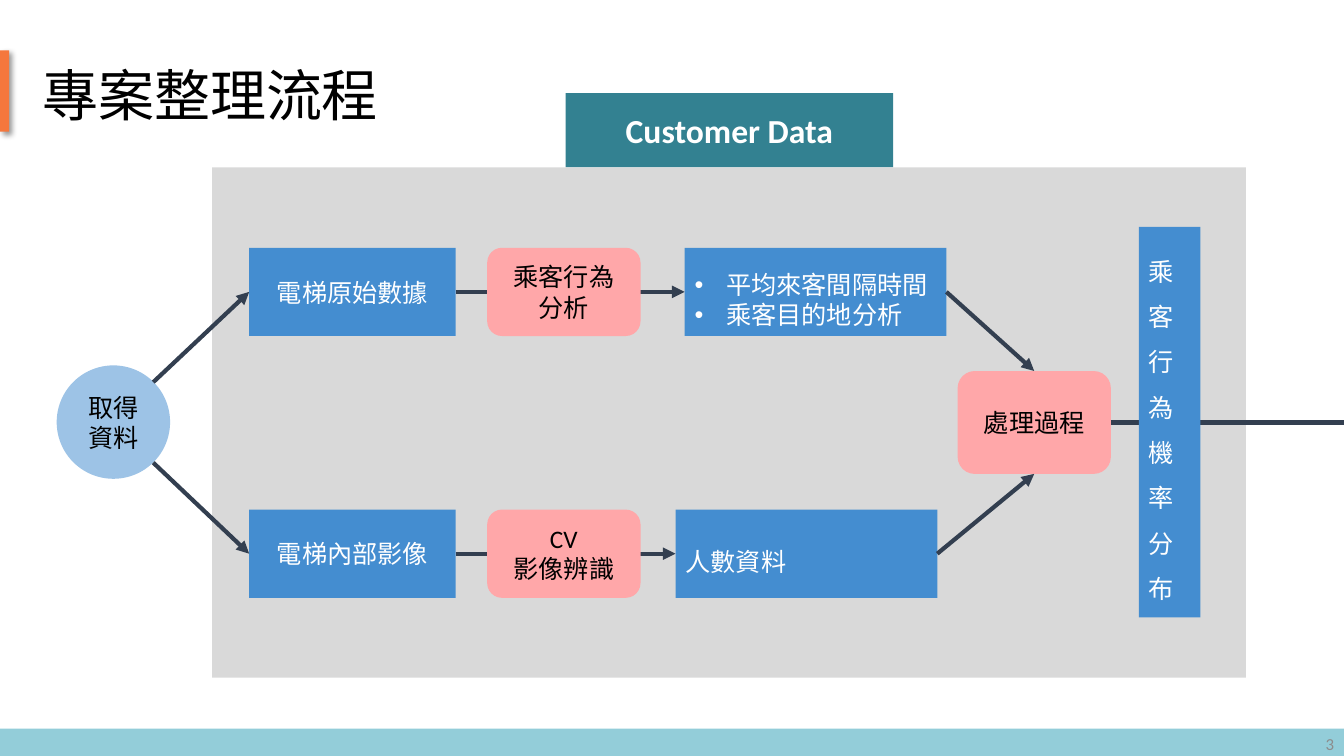
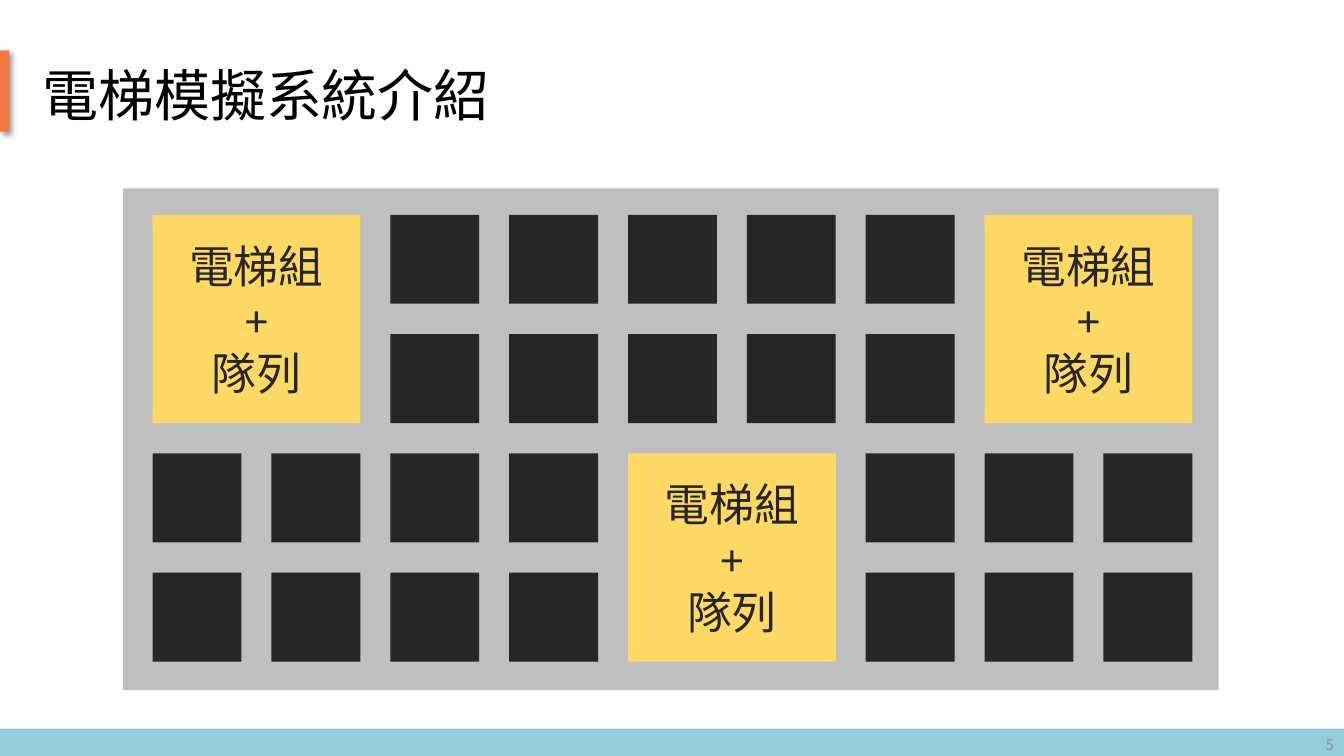
import pptx
import pptx.util
import pptx.dml.color
import pptx.enum.shapes
import pptx.enum.text
import pptx.oxml
import pptx.oxml.ns
import lxml.etree

Pt = pptx.util.Pt
qn = pptx.oxml.ns.qn
Kind = pptx.enum.shapes.MSO_SHAPE
Align = pptx.enum.text.PP_ALIGN
Anchor = pptx.enum.text.MSO_ANCHOR

HUES = {
    "band": "93CDD9", "accent": "F5773D", "number": "8C8C8C",
    "panel": "D9D9D9", "source": "9DC3E6", "data": "448DD0",
    "step": "FFA7A9", "wire": "333F50", "head": "338191",
    "floor": "BFBFBF", "room": "262626", "lift": "FFD966",
    "black": "000000", "white": "FFFFFF",
}
WIDE, HIGH = 960, 540
LATIN, ASIAN = "Calibri", "Noto Sans CJK JP"


def hue(name):
    return pptx.dml.color.RGBColor.from_string(HUES[name])


def child(node, tag, **traits):
    return lxml.etree.SubElement(node, qn(tag), traits)


class Deck:
    def __init__(self):
        self.file = pptx.Presentation()
        self.file.slide_width, self.file.slide_height = Pt(WIDE), Pt(HIGH)
        self.slide = None

    def page(self, title, number):
        """Start a slide with its band, number, accent bar and title."""
        self.slide = self.file.slides.add_slide(self.file.slide_layouts[5])
        self.box(0, 520.5, WIDE, HIGH - 520.5, "band")
        self.label(744, 517, 216, 29, number)
        self.glow(self.box(0, 36, 6.5, 58, "accent"))

        head = self.slide.shapes.title
        head.left, head.top = Pt(23), Pt(39.5)
        head.width, head.height = Pt(40 * len(title) + 17), Pt(55.5)
        frame = head.text_frame
        frame.text = title
        frame.word_wrap = False
        frame.auto_size = pptx.enum.text.MSO_AUTO_SIZE.SHAPE_TO_FIT_TEXT
        frame.vertical_anchor = Anchor.TOP
        self.style(frame, 40, "black", Align.LEFT, face=ASIAN)

    def style(self, frame, size, ink, align, bold=False, face=LATIN):
        for para in frame.paragraphs:
            para.alignment = align
            for run in para.runs:
                font = run.font
                font.size, font.bold, font.name = Pt(size), bold, face
                font.color.rgb = hue(ink)
                child(run._r.get_or_add_rPr(), "a:ea", typeface=ASIAN)

    def label(self, x, y, w, h, text):
        area = self.slide.shapes.add_textbox(Pt(x), Pt(y), Pt(w), Pt(h))
        frame = area.text_frame
        frame.text = text
        frame.word_wrap = True
        frame.vertical_anchor = Anchor.MIDDLE
        self.style(frame, 12, "number", Align.RIGHT)

    def box(self, x, y, w, h, fill, text="", ink="white", size=18,
            kind=Kind.RECTANGLE, align=Align.CENTER, bold=False,
            loose=False, dots=False):
        shape = self.slide.shapes.add_shape(kind, Pt(x), Pt(y), Pt(w), Pt(h))
        shape.shadow.inherit = False
        shape.fill.solid()
        shape.fill.fore_color.rgb = hue(fill)
        shape.line.fill.background()
        if text:
            frame = shape.text_frame
            frame.text = text
            frame.word_wrap = True
            frame.vertical_anchor = Anchor.MIDDLE
            if dots:
                self.dots(frame)
            if loose:
                frame.paragraphs[0].line_spacing = 1.5
            self.style(frame, size, ink, align, bold)
        return shape

    def dots(self, frame):
        for para in frame.paragraphs:
            props = para._p.get_or_add_pPr()
            props.set("marL", str(Pt(22.5)))
            props.set("indent", str(-Pt(22.5)))
            child(props, "a:buFont", typeface="Arial")
            child(props, "a:buChar", char="•")

    def glow(self, shape):
        """Give a shape a soft shadow to its lower right."""
        group = shape._element.spPr.find(qn("a:effectLst"))
        cast = child(group, "a:outerShdw", blurRad=str(Pt(4)),
                     dist=str(Pt(3)), dir="2700000", algn="tl", rotWithShape="0")
        tint = child(cast, "a:srgbClr", val=HUES["black"])
        child(tint, "a:alpha", val="40000")

    def wire(self, start, end, arrow=True):
        """Draw a line; each end is a point or a (shape, side) pair."""
        line = self.slide.shapes.add_connector(
            pptx.enum.shapes.MSO_CONNECTOR.STRAIGHT, 0, 0, 0, 0)
        if isinstance(start[0], (int, float)):
            line.begin_x, line.begin_y = Pt(start[0]), Pt(start[1])
        else:
            line.begin_connect(*start)
        if isinstance(end[0], (int, float)):
            line.end_x, line.end_y = Pt(end[0]), Pt(end[1])
        else:
            line.end_connect(*end)
        line.line.width = Pt(3)
        line.line.color.rgb = hue("wire")
        props = line._element.spPr
        if arrow:
            child(props.find(qn("a:ln")), "a:tailEnd", type="triangle")
        child(props, "a:effectLst")


def flow(deck):
    deck.page("專案整理流程", "3")
    deck.box(151.5, 119.5, 738.5, 364.5, "panel")
    deck.box(404, 66.5, 234, 53, "head", "Customer Data", size=24, bold=True)
    deck.box(40.5, 261, 81, 81, "source", "取得\n資料", "black", kind=Kind.OVAL)
    hub = deck.box(684, 265, 109.5, 73.5, "step", "處理過程", "black",
                   kind=Kind.ROUNDED_RECTANGLE)

    # Two rows: input, step and result, from the source to the hub
    rows = [
        (177, 273, "電梯原始數據", "乘客行為\n分析", 489,
         "平均來客間隔時間\n乘客目的地分析", True, 0),
        (364, 330.5, "電梯內部影像", "CV\n影像辨識", 482.5, "人數資料", False, 2),
    ]
    tall = 63
    for top, exit_y, raw, step, left, result, dots, side in rows:
        start = deck.box(178, top, 147.5, tall, "data", raw)
        end = deck.box(left, top, 187, tall, "data", result,
                       align=Align.LEFT, loose=True, dots=dots)
        deck.wire((109.5, exit_y), (start, 1))
        deck.wire((start, 3), (end, 1))
        deck.wire((end, 3), (hub, side))
        deck.box(348, top, 109.5, tall, "step", step, "black",
                 kind=Kind.ROUNDED_RECTANGLE)

    # Output runs behind the upright box to the slide edge
    deck.wire((hub, 3), (WIDE, 301.75), arrow=False)
    deck.box(813.5, 162, 44, 279, "data", "乘客行為機率分布",
             align=Align.LEFT, loose=True)


def plan(deck):
    deck.page("電梯模擬系統介紹", "5")
    deck.box(88, 134.5, 782.5, 358.5, "floor")

    # Grid of rooms; each lift group takes two by two cells
    left, top, step_x, step_y, side = 109, 153.5, 84.9, 85.2, 63.5
    lifts = [(0, 0), (7, 0), (4, 2)]
    taken = {(c + i, r + j) for c, r in lifts for i in (0, 1) for j in (0, 1)}
    for row in range(4):
        for col in range(9):
            x, y = left + col * step_x, top + row * step_y
            if (col, row) in lifts:
                deck.box(x, y, step_x + side, step_y + side, "lift",
                         "電梯組\n+\n隊列", "room", 32)
            elif (col, row) not in taken:
                deck.box(x, y, side, side, "room")


def main():
    deck = Deck()
    flow(deck)
    plan(deck)
    deck.file.save("out.pptx")


if __name__ == "__main__":
    main()
